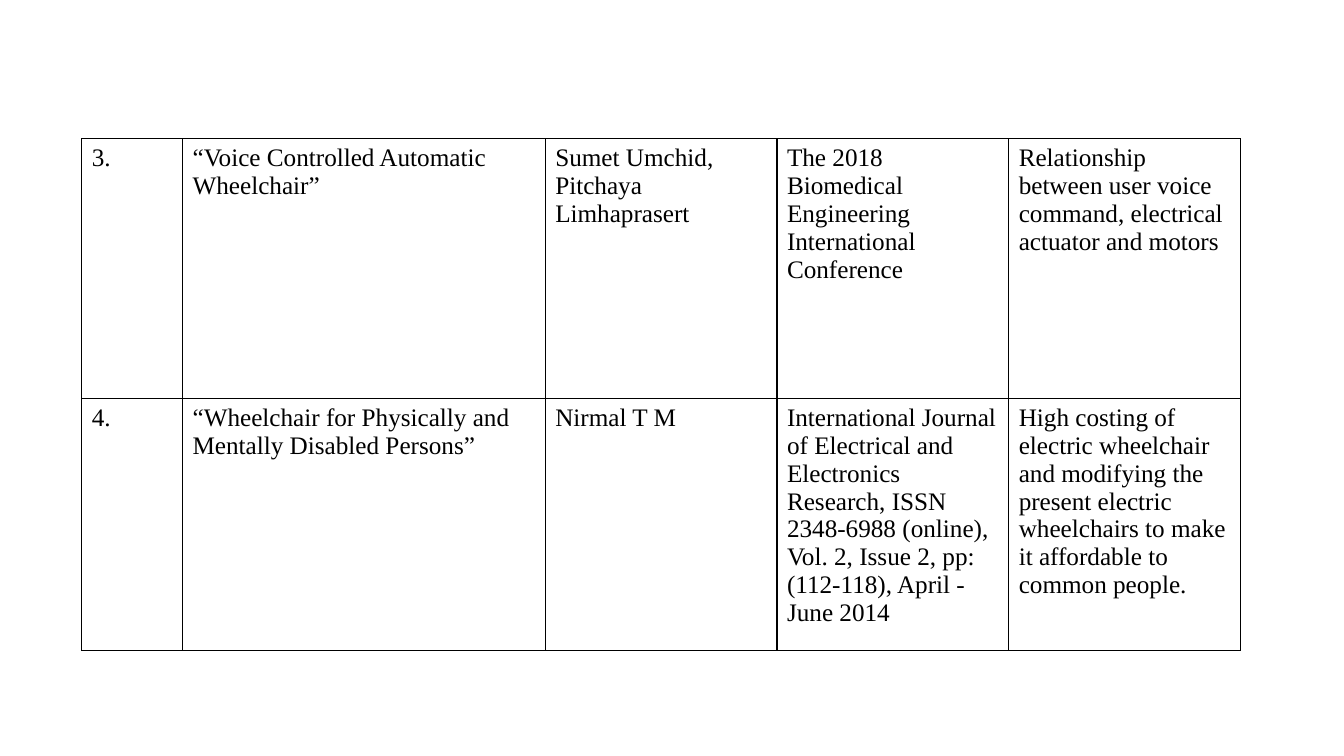
from typing import NamedTuple

from lxml import etree
from pptx import Presentation
from pptx.dml.color import RGBColor
from pptx.oxml.ns import qn
from pptx.util import Cm, Pt

FONT = "Times New Roman"
BLACK = "000000"
COLUMN_WIDTHS = [2.54, 9.14, 5.84, 5.84, 5.84]
ROW_HEIGHTS = [6.55, 6.35]


class Paper(NamedTuple):
    number: str
    title: str
    authors: str
    publication: str
    finding: str


PAPERS = [
    Paper(
        "3.",
        "“Voice Controlled Automatic Wheelchair”",
        "Sumet Umchid, Pitchaya Limhaprasert",
        "The 2018 Biomedical Engineering International Conference",
        "Relationship between user voice command, electrical actuator and motors",
    ),
    Paper(
        "4.",
        "“Wheelchair for Physically and Mentally Disabled Persons”",
        "Nirmal T M",
        "International Journal of Electrical and Electronics Research, "
        "ISSN 2348-6988 (online), Vol. 2, Issue 2, pp: (112-118), April - June 2014",
        "High costing of electric wheelchair and modifying the present electric "
        "wheelchairs to make it affordable to common people.",
    ),
]


def rgb(color: str) -> RGBColor:
    return RGBColor.from_string(color)


def add_borders(cell, color: str, width: float) -> None:
    tc_pr = cell._tc.get_or_add_tcPr()
    for i, side in enumerate(("a:lnL", "a:lnR", "a:lnT", "a:lnB")):
        ln = etree.Element(qn(side), w=str(Pt(width)))
        fill = etree.SubElement(ln, qn("a:solidFill"))
        etree.SubElement(fill, qn("a:srgbClr"), val=color)
        tc_pr.insert(i, ln)  # borders come before the fill


def fill_cell(cell, text: str) -> None:
    cell.fill.background()
    add_borders(cell, BLACK, 1)
    r = cell.text_frame.paragraphs[0].add_run()
    r.text = text
    r.font.name = FONT
    r.font.size = Pt(18)
    r.font.bold = False
    r.font.color.rgb = rgb(BLACK)


def add_paper_table(s, left: float, top: float) -> None:
    table = s.shapes.add_table(
        len(PAPERS), len(COLUMN_WIDTHS), Cm(left), Cm(top),
        Cm(sum(COLUMN_WIDTHS)), Cm(sum(ROW_HEIGHTS)),
    ).table
    table.first_row = False
    table.horz_banding = False
    for column, width in zip(table.columns, COLUMN_WIDTHS):
        column.width = Cm(width)
    for row, height, paper in zip(table.rows, ROW_HEIGHTS, PAPERS):
        row.height = Cm(height)
        for cell, text in zip(row.cells, paper):
            fill_cell(cell, text)


def main() -> None:
    prs = Presentation()
    prs.slide_width = Cm(33.87)
    prs.slide_height = Cm(19.05)
    s = prs.slides.add_slide(prs.slide_layouts[6])
    add_paper_table(s, 2.06, 3.5)
    prs.save("out.pptx")


if __name__ == "__main__":
    main()
